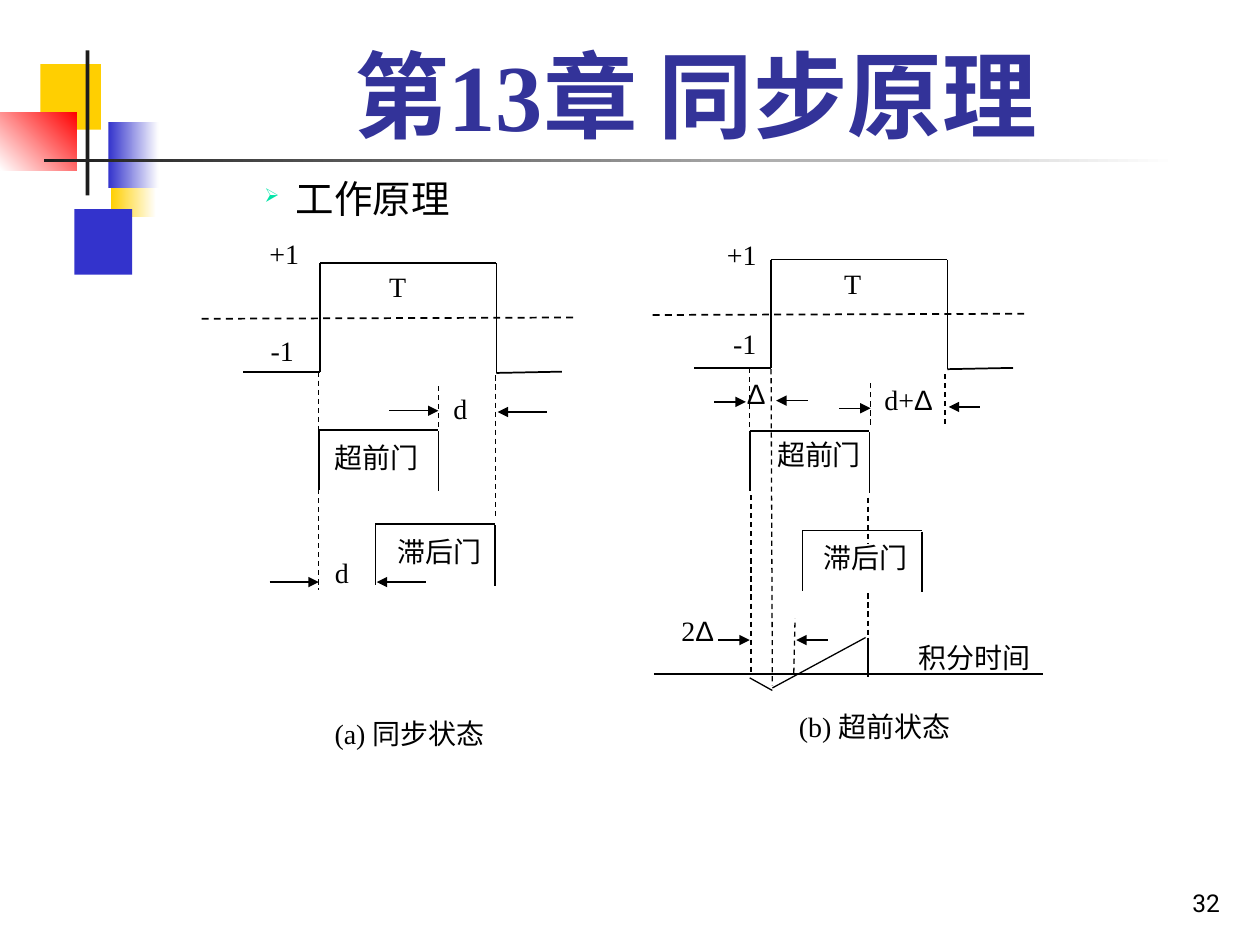
import pptx
import pptx.dml.color
import pptx.enum.dml
import pptx.enum.shapes
import pptx.enum.text
import pptx.oxml.ns
import pptx.util
from lxml import etree
from pptx.util import Inches

COLORS = {
    "white": "FFFFFF", "black": "000000", "yellow": "FFCF01", "blue": "3333CC",
    "red": "FF0000", "charcoal": "1C1C1C", "title": "333399", "bullet": "00E4A8",
}
ALIGN = pptx.enum.text.PP_ALIGN
ANCHOR = pptx.enum.text.MSO_ANCHOR
THIN, THICK = 0.75, 1


def color(name):
    return pptx.dml.color.RGBColor.from_string(COLORS[name])


def add_element(parent, tag, **attributes):
    return etree.SubElement(parent, pptx.oxml.ns.qn(tag), attributes)


class SlideBuilder:
    font = "Times New Roman"
    symbol_font = "Arial"
    size = 16

    def __init__(self, slide):
        self.slide = slide

    def block(self, left, top, width, height, fill, fade_angle=None):
        """Add a rectangle; fade_angle (counter-clockwise) fades it to white."""
        shape = self.slide.shapes.add_shape(
            pptx.enum.shapes.MSO_SHAPE.RECTANGLE,
            Inches(left), Inches(top), Inches(width), Inches(height))
        shape.shadow.inherit = False
        shape.line.fill.background()
        if fade_angle is None:
            shape.fill.solid()
            shape.fill.fore_color.rgb = color(fill)
        else:
            shape.fill.gradient()
            shape.fill.gradient_angle = fade_angle
            for stop, name in zip(shape.fill.gradient_stops, (fill, "white")):
                stop.color.rgb = color(name)

    def text(self, left, top, width, height, content, align=ALIGN.JUSTIFY, size=None,
             font=None, fill="black", bold=False, anchor=ANCHOR.TOP, bullet=None):
        shape = self.slide.shapes.add_textbox(
            Inches(left), Inches(top), Inches(width), Inches(height))
        frame = shape.text_frame
        frame.word_wrap = True
        frame.vertical_anchor = anchor
        paragraph = frame.paragraphs[0]
        paragraph.alignment = align
        if bullet:
            self.add_bullet(paragraph, bullet)
        # Greek delta is set in the symbol font, so it gets its own run.
        body = content.removesuffix("Δ")
        for part in filter(None, (body, content[len(body):])):
            run = paragraph.add_run()
            run.text = part
            run.font.name = self.symbol_font if part == "Δ" else font or self.font
            run.font.size = pptx.util.Pt(size or self.size)
            run.font.bold = bold
            run.font.color.rgb = color(fill)
        return frame

    def add_bullet(self, paragraph, character):
        properties = paragraph._p.get_or_add_pPr()
        properties.set("marL", str(Inches(2.25)))
        properties.set("indent", str(Inches(-0.25)))
        bullet_color = add_element(properties, "a:buClr")
        add_element(bullet_color, "a:srgbClr", val=COLORS["bullet"])
        add_element(properties, "a:buSzPct", val="50000")
        add_element(properties, "a:buChar", char=character)

    def line(self, x1, y1, x2, y2, width=THICK, dashed=False, arrow=None):
        """Add a line; arrow is "headEnd" (at the start) or "tailEnd"."""
        connector = self.slide.shapes.add_connector(
            pptx.enum.shapes.MSO_CONNECTOR.STRAIGHT,
            Inches(x1), Inches(y1), Inches(x2), Inches(y2))
        connector.line.color.rgb = color("black")
        connector.line.width = pptx.util.Pt(width)
        if dashed:
            connector.line.dash_style = pptx.enum.dml.MSO_LINE.DASH
        if arrow:
            add_element(connector.line._get_or_add_ln(), f"a:{arrow}", type="triangle")
        add_element(connector._element.spPr, "a:effectLst")

    def guide(self, x1, y1, x2, y2):
        self.line(x1, y1, x2, y2, THIN, dashed=True)

    def gap_arrows(self, left, right, y, length, right_y=None):
        """Point two arrows at a gap from outside, between left and right."""
        right_y = right_y or y
        self.line(left - length, y, left, y, THIN, arrow="tailEnd")
        self.line(right, right_y, right + length, right_y, THIN, arrow="headEnd")

    def pulse(self, left, top):
        right, bottom = left + 1.4, top + 0.86
        self.line(left - 0.94, top + 0.44, left + 2.03, top + 0.43, dashed=True)
        self.line(left - 0.61, bottom, left, bottom)
        self.line(left, bottom, left, top)
        self.line(left, top, right, top)
        self.line(right, top, right, bottom + 0.01)
        self.line(right, bottom + 0.01, right + 0.52, bottom)

    def gate(self, left, top):
        right, drop = left + 0.95, 0.48
        self.line(left, top, right, top)
        self.line(left, top, left, top + drop)
        self.line(right, top + 0.01, right, top + 0.01 + drop)

    def labels(self, width, height, entries, align=ALIGN.JUSTIFY):
        for left, top, content in entries:
            self.text(left, top, width, height, content, align)


def draw_background(builder):
    builder.block(0.88, 1.2, 0.36, 0.52, "yellow", 0)
    builder.block(0.59, 1.66, 0.46, 0.52, "blue")
    builder.block(0.32, 0.51, 0.48, 0.52, "yellow")
    builder.block(0.86, 0.97, 0.4, 0.52, "blue", 0)
    builder.block(0, 0.89, 0.61, 0.46, "red", 225)
    builder.block(0.68, 0.4, 0.03, 1.15, "charcoal")
    builder.block(0.35, 1.26, 9, 0.03, "charcoal", 0)


def draw_synchronous_state(builder):
    builder.pulse(2.54, 2.09)
    builder.gate(2.53, 3.41)
    builder.gate(2.98, 4.16)
    builder.guide(3.93, 2.98, 3.93, 4.11)
    builder.guide(2.53, 2.95, 2.53, 4.68)
    builder.guide(3.48, 3.39, 3.48, 3.05)
    builder.gap_arrows(3.48, 3.95, 3.26, 0.39, right_y=3.27)
    builder.gap_arrows(2.53, 2.99, 4.62, 0.39)


def draw_early_state(builder):
    builder.pulse(6.12, 2.06)
    builder.gate(5.95, 3.42)
    builder.gate(6.37, 4.21)
    for guide in ((5.95, 3.39, 5.95, 2.93), (7.5, 2.97, 7.5, 3.39),
                  (6.12, 2.93, 6.13, 5.44), (6.91, 3.37, 6.91, 3.03),
                  (5.96, 3.93, 5.96, 5.35), (6.3, 5.34, 6.31, 4.91),
                  (6.89, 4.71, 6.89, 5.37), (6.89, 3.95, 6.89, 4.31)):
        builder.guide(*guide)
    builder.gap_arrows(5.92, 6.16, 3.19, 0.25, right_y=3.18)
    builder.gap_arrows(6.91, 7.53, 3.24, 0.25, right_y=3.23)
    builder.gap_arrows(5.95, 6.32, 5.08, 0.25)
    for integral in ((5.19, 5.35, 8.28, 5.35), (5.95, 5.38, 6.13, 5.48),
                     (6.87, 5.06, 6.13, 5.46), (6.89, 5.06, 6.89, 5.34)):
        builder.line(*integral, THIN)


def draw_text(builder):
    builder.text(1.26, 0.23, 8.52, 1.01, "第13章 同步原理", ALIGN.CENTER, size=54,
                 fill="title", bold=True, anchor=ANCHOR.BOTTOM)
    builder.text(0, 1.34, 10, 6.16, "工作原理", ALIGN.LEFT, size=22, bullet="➢")
    builder.labels(0.55, 0.43, ((2.04, 1.83, "+1"), (2.05, 2.6, "-1"),
                                (5.67, 1.84, "+1"), (5.72, 2.54, "-1")))
    builder.labels(0.48, 0.43, ((2.99, 2.09, "T"), (6.6, 2.07, "T"), (3.5, 3.06, "d"),
                                (2.56, 4.36, "d"), (5.83, 2.94, "Δ")))
    builder.labels(0.61, 0.43, ((6.92, 2.99, "d+Δ"), (5.31, 4.82, "2Δ")))
    builder.labels(0.92, 0.43, ((2.53, 3.45, "超前门"), (3.03, 4.19, "滞后门"),
                                (6.04, 3.42, "超前门"), (6.41, 4.24, "滞后门")), ALIGN.CENTER)
    builder.labels(2.34, 0.47, ((2.08, 5.64, "(a) 同步状态"),
                                (5.77, 5.58, "(b) 超前状态")), ALIGN.CENTER)
    axis_label = builder.text(7.29, 4.95, 1.06, 0.53, "积分时间", anchor=ANCHOR.MIDDLE)
    axis_label.margin_left = axis_label.margin_right = 0
    axis_label.margin_top = axis_label.margin_bottom = 0
    builder.text(7.7, 6.83, 2.08, 0.5, "32", ALIGN.RIGHT, size=14, font="Roboto",
                 anchor=ANCHOR.BOTTOM)


def main():
    presentation = pptx.Presentation()
    presentation.slide_width, presentation.slide_height = Inches(10), Inches(7.5)
    builder = SlideBuilder(presentation.slides.add_slide(presentation.slide_layouts[6]))
    draw_background(builder)
    draw_synchronous_state(builder)
    draw_early_state(builder)
    draw_text(builder)
    presentation.save("out.pptx")


if __name__ == "__main__":
    main()
